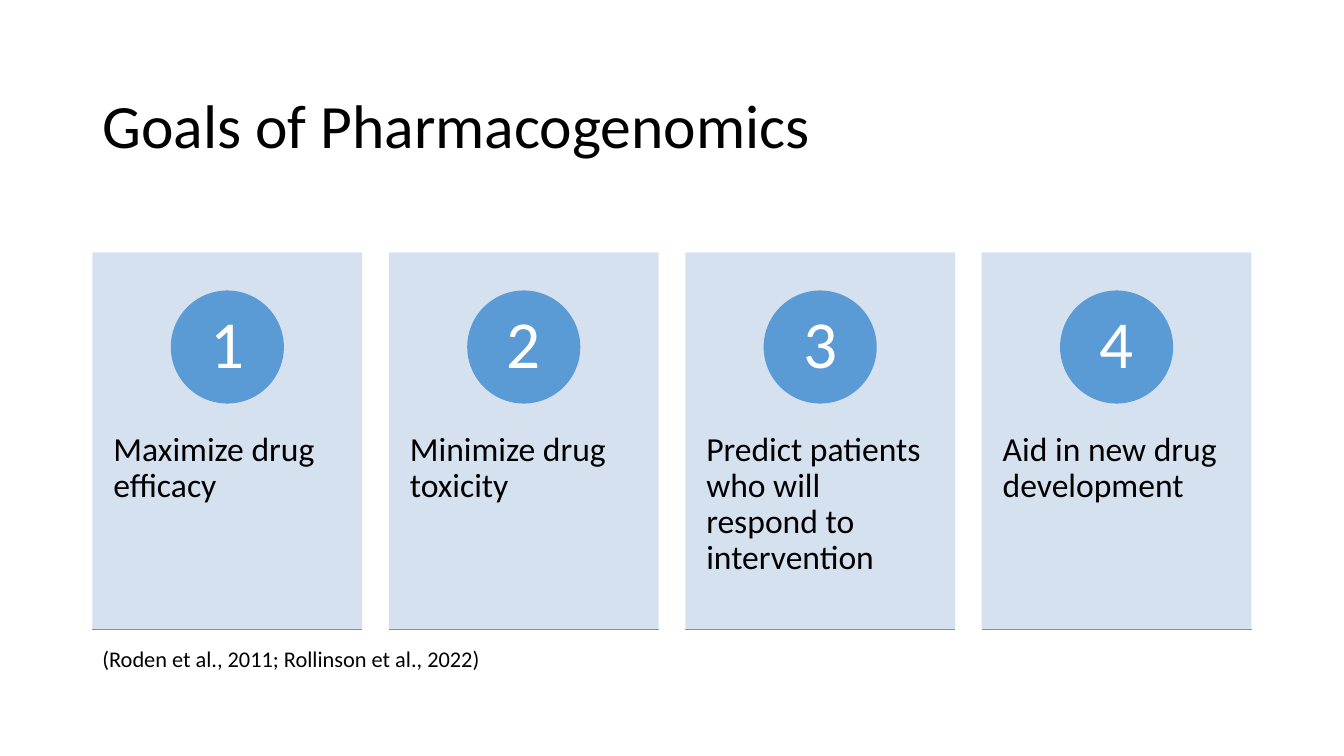
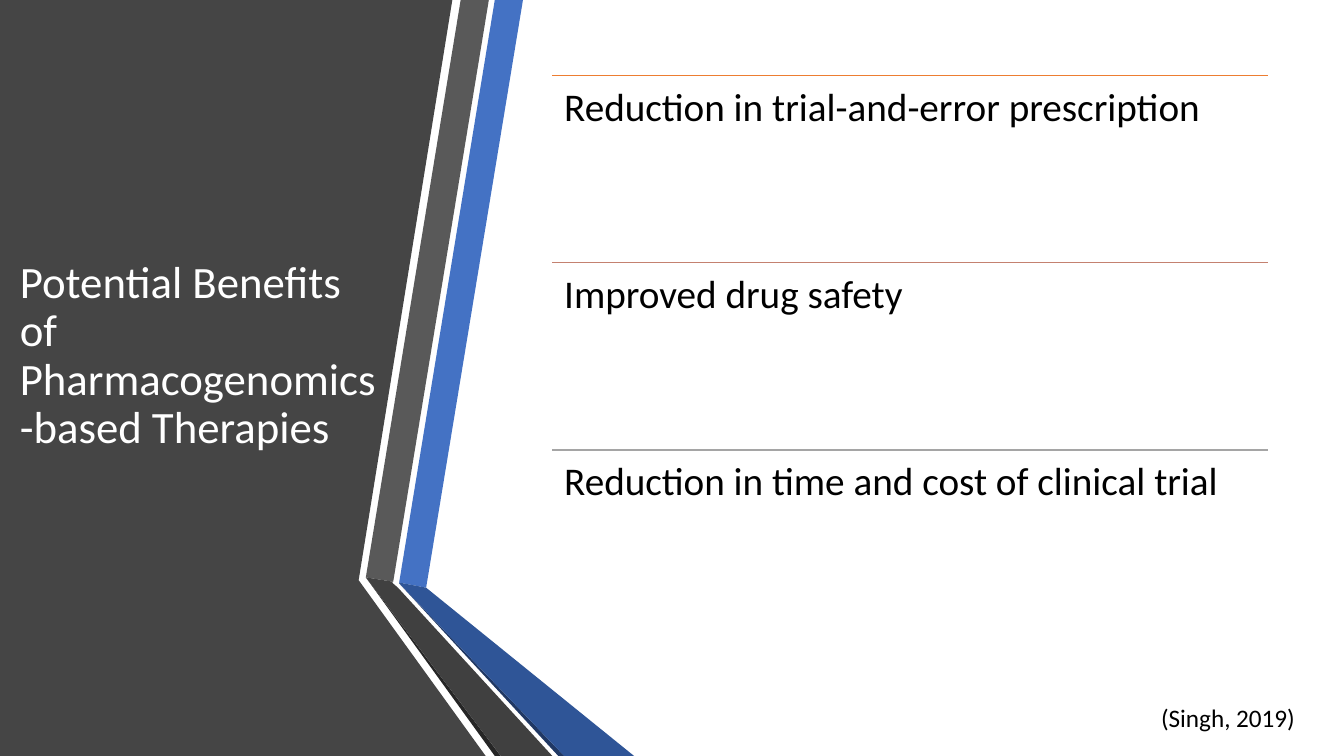
from lxml.etree import SubElement
from pptx import Presentation
from pptx.dml.color import RGBColor
from pptx.enum.shapes import MSO_CONNECTOR, MSO_SHAPE
from pptx.enum.text import MSO_ANCHOR, MSO_AUTO_SIZE, PP_ALIGN
from pptx.oxml.ns import qn
from pptx.util import Cm, Pt

FONT = "Calibri"
BLACK = RGBColor(0x00, 0x00, 0x00)
WHITE = RGBColor(0xFF, 0xFF, 0xFF)
CARD_BLUE = RGBColor(0xD2, 0xDE, 0xEF)
BADGE_BLUE = RGBColor(0x5B, 0x9B, 0xD5)
PANEL_GREY = RGBColor(0x45, 0x45, 0x45)
BAND_BLUE = RGBColor(0x44, 0x72, 0xC4)
BAND_GREY = RGBColor(0x59, 0x59, 0x59)
EDGE_BLACK = RGBColor(0x26, 0x26, 0x26)
EDGE_NAVY = RGBColor(0x20, 0x38, 0x64)
FOLD_BLUE = RGBColor(0x2F, 0x55, 0x97)
FOLD_GREY = RGBColor(0x40, 0x40, 0x40)
RULE_ORANGE = RGBColor(0xED, 0x7D, 0x31)
RULE_ROSE = RGBColor(0xC4, 0x81, 0x70)
RULE_GREY = RGBColor(0xA5, 0xA5, 0xA5)

SLIDE_WIDTH, SLIDE_HEIGHT = 33.87, 19.05
TITLE_ONLY = 5

GOALS = [
    "Maximize drug efficacy",
    "Minimize drug toxicity",
    "Predict patients who will respond to intervention",
    "Aid in new drug development",
]
BENEFITS = [
    ("Reduction in trial-and-error prescription", RULE_ORANGE),
    ("Improved drug safety", RULE_ROSE),
    ("Reduction in time and cost of clinical trial", RULE_GREY),
]

# Outlines of the folded ribbon, in centimetres, from back to front
RIBBON = [
    (PANEL_GREY, [(0, 0), (11.4, 0), (9.04, 14.62), (12.24, SLIDE_HEIGHT), (0, SLIDE_HEIGHT)]),
    (BAND_BLUE, [(10.06, 14.68), (10.74, 14.81), (13.18, 0), (12.47, 0)]),
    (BAND_GREY, [(12.32, 0), (11.61, 0), (9.22, 14.55), (9.91, 14.66)]),
    (EDGE_BLACK, [(9.22, 14.55), (12.47, SLIDE_HEIGHT), (12.62, SLIDE_HEIGHT)]),
    (EDGE_NAVY, [(10.06, 14.7), (14.07, SLIDE_HEIGHT), (14.22, SLIDE_HEIGHT)]),
    (FOLD_BLUE, [(10.06, 14.7), (14.22, SLIDE_HEIGHT), (15.98, SLIDE_HEIGHT),
                 (10.74, 14.81), (10.06, 14.68)]),
    (FOLD_GREY, [(13.92, SLIDE_HEIGHT), (10.03, 14.81), (9.88, 14.68), (9.91, 14.66),
                 (9.22, 14.55), (12.62, SLIDE_HEIGHT)]),
]


def write_text(shape, text, size, color=BLACK, align=PP_ALIGN.LEFT,
               anchor=MSO_ANCHOR.TOP, insets=(0.25, 0.13), spacing=0.9):
    """Fill a shape with one paragraph; insets are horizontal and vertical."""
    frame = shape.text_frame
    frame.word_wrap = True
    frame.auto_size = MSO_AUTO_SIZE.NONE
    frame.vertical_anchor = anchor
    frame.margin_left = frame.margin_right = Cm(insets[0])
    frame.margin_top = frame.margin_bottom = Cm(insets[1])
    paragraph = frame.paragraphs[0]
    paragraph.alignment = align
    paragraph.line_spacing = spacing
    run = paragraph.add_run()
    run.text = text
    run.font.name = FONT
    run.font.size = Pt(size)
    run.font.color.rgb = color


def place_title(slide, text, box, size, color):
    """Move the title placeholder to box, in front of what is already drawn."""
    title = slide.shapes.title
    title.left, title.top, title.width, title.height = map(Cm, box)
    write_text(title, text, size, color, anchor=MSO_ANCHOR.MIDDLE)
    slide.shapes.element.append(title.element)


def add_text(slide, text, box, size, **style):
    shape = slide.shapes.add_textbox(*map(Cm, box))
    write_text(shape, text, size, **style)


def add_filled_shape(slide, kind, box, color):
    shape = slide.shapes.add_shape(kind, *map(Cm, box))
    shape.shadow.inherit = False
    shape.fill.solid()
    shape.fill.fore_color.rgb = color
    shape.line.fill.background()
    return shape


def set_opacity(shape, percent):
    color = shape.element.spPr.find(qn("a:solidFill"))[0]
    SubElement(color, qn("a:alpha"), val=str(percent * 1000))


def add_rule(slide, left, top, width, color):
    rule = slide.shapes.add_connector(
        MSO_CONNECTOR.STRAIGHT, Cm(left), Cm(top), Cm(left + width), Cm(top))
    rule.line.color.rgb = color
    rule.line.width = Pt(1)
    SubElement(rule.element.spPr, qn("a:effectLst"))


def add_outline(slide, points, color):
    start, *others = [(Cm(x), Cm(y)) for x, y in points]
    builder = slide.shapes.build_freeform(*start)
    builder.add_line_segments(others, close=True)
    shape = builder.convert_to_shape()
    shape.shadow.inherit = False
    shape.fill.solid()
    shape.fill.fore_color.rgb = color
    shape.line.fill.background()


def add_goal_card(slide, number, goal, left):
    top, width, height, diameter = 6.36, 6.8, 9.5, 2.85
    card = add_filled_shape(slide, MSO_SHAPE.RECTANGLE, (left, top, width, height), CARD_BLUE)
    set_opacity(card, 90)
    write_text(card, goal, 24, insets=(0.53, 0))
    card.text_frame.margin_top = Cm(4.53)
    badge_box = (left + (width - diameter) / 2, top + 0.96, diameter, diameter)
    badge = add_filled_shape(slide, MSO_SHAPE.OVAL, badge_box, BADGE_BLUE)
    write_text(badge, str(number), 48, WHITE, PP_ALIGN.CENTER, MSO_ANCHOR.MIDDLE, (0.24, 0.03))
    add_rule(slide, left, top + height, width, BADGE_BLUE)


def build_goals(presentation):
    slide = presentation.slides.add_slide(presentation.slide_layouts[TITLE_ONLY])
    left, pitch = 2.33, 7.47
    place_title(slide, "Goals of Pharmacogenomics", (left, 1.4, 29.21, 3.68), 44, BLACK)
    for index, goal in enumerate(GOALS):
        add_goal_card(slide, index + 1, goal, left + index * pitch)
    add_text(slide, "(Roden et al., 2011; Rollinson et al., 2022)",
             (left, 16.13, 12, 0.94), 16, spacing=1.0)


def build_benefits(presentation):
    slide = presentation.slides.add_slide(presentation.slide_layouts[TITLE_ONLY])
    for color, points in RIBBON:
        add_outline(slide, points, color)
    place_title(slide, "Potential Benefits of Pharmacogenomics-based Therapies",
                (0.25, 1.9, 9.73, 14.17), 32, WHITE)
    left, width, row_height = 13.92, 18.03, 4.72
    for index, (benefit, color) in enumerate(BENEFITS):
        top = 1.9 + index * row_height
        add_rule(slide, left, top, width, color)
        add_text(slide, benefit, (left, top, width, row_height), 28, insets=(0.3, 0.3))
    add_text(slide, "(Singh, 2019)", (29.01, 17.58, 4.6, 1.02), 18, spacing=1.0)


def main():
    presentation = Presentation()
    presentation.slide_width = Cm(SLIDE_WIDTH)
    presentation.slide_height = Cm(SLIDE_HEIGHT)
    build_goals(presentation)
    build_benefits(presentation)
    presentation.save("out.pptx")


if __name__ == "__main__":
    main()
